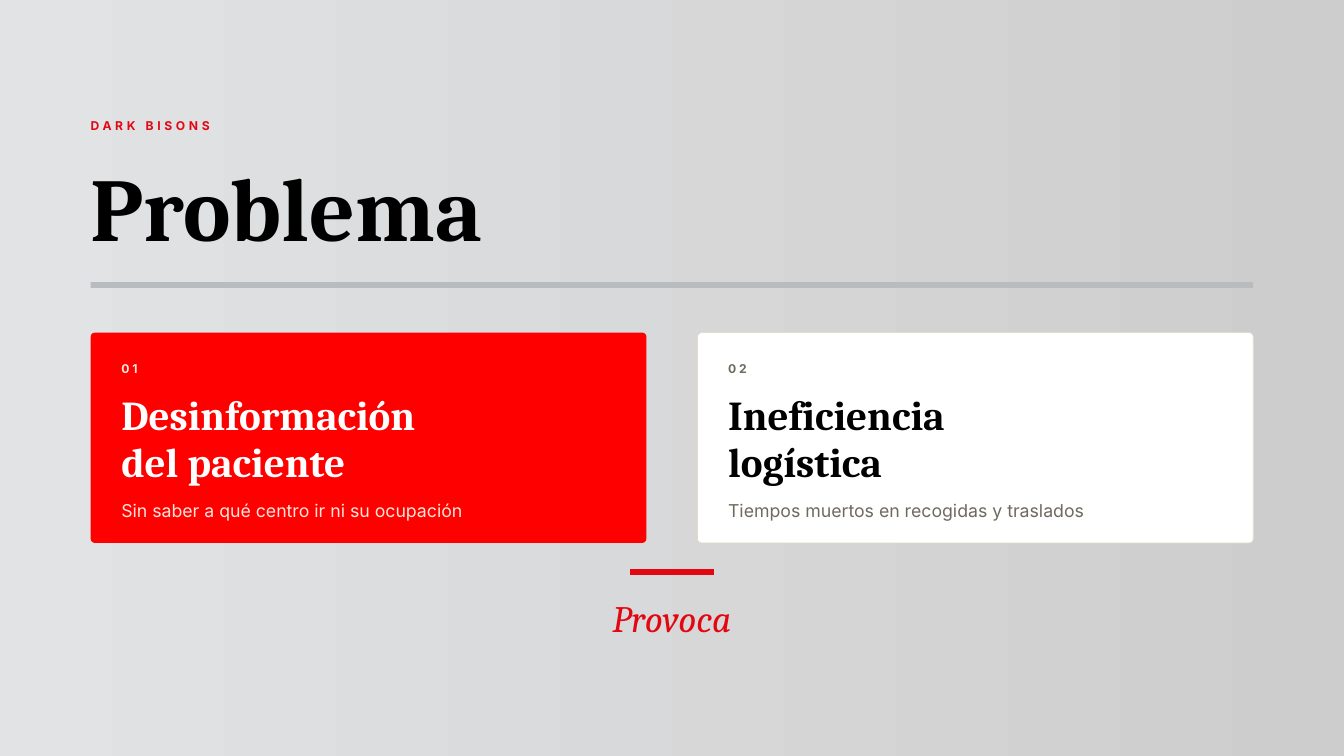
from pptx import Presentation
from pptx.dml.color import RGBColor
from pptx.enum.shapes import MSO_SHAPE
from pptx.enum.text import MSO_AUTO_SIZE, PP_ALIGN
from pptx.util import Inches, Pt

RECT, ROUNDED = MSO_SHAPE.RECTANGLE, MSO_SHAPE.ROUNDED_RECTANGLE
LEFT, CENTER = PP_ALIGN.LEFT, PP_ALIGN.CENTER
GROW = MSO_AUTO_SIZE.SHAPE_TO_FIT_TEXT

# Page grid, in inches
W, H = 20, 11.25
MARGIN = 1.35
CONTENT_W = W - 2 * MARGIN
GAP = 0.76
RULE_H = 0.085
PAD = 0.455

SERIF, SANS = "Cambria", "Inter"
RED, BLACK, WHITE = "E30613", "000000", "FFFFFF"

# number, title lines, detail, fill, border, title colour, small text colour
CARDS = [
    ("01", "Desinformación\ndel paciente",
     "Sin saber a qué centro ir ni su ocupación",
     "FF0000", None, WHITE, "FFE6DC"),
    ("02", "Ineficiencia\nlogística",
     "Tiempos muertos en recogidas y traslados",
     WHITE, "E2D9C8", BLACK, "6F6A60"),
]


def rgb(value):
    return RGBColor.from_string(value)


def add_box(s, kind, x, y, w, h, fill, border=None):
    sp = s.shapes.add_shape(kind, Inches(x), Inches(y), Inches(w), Inches(h))
    sp.shadow.inherit = False
    sp.fill.solid()
    sp.fill.fore_color.rgb = rgb(fill)
    if border:
        sp.line.color.rgb = rgb(border)
        sp.line.width = Pt(0.75)
    else:
        sp.line.fill.background()
    return sp


def add_text(s, x, y, w, h, text, font, size, leading, color,
             bold=False, italic=False, spacing=0, align=LEFT):
    sp = s.shapes.add_textbox(Inches(x), Inches(y), Inches(w), Inches(h))
    tf = sp.text_frame
    tf.word_wrap = True
    tf.auto_size = GROW
    tf.margin_left = tf.margin_right = tf.margin_top = tf.margin_bottom = 0
    tf.text = text
    for p in tf.paragraphs:
        p.alignment = align
        p.line_spacing = Pt(leading)
        for r in p.runs:
            r.font.name = font
            r.font.size = Pt(size)
            r.font.bold = bold
            r.font.italic = italic
            r.font.color.rgb = rgb(color)
            if spacing:
                r._r.get_or_add_rPr().set("spc", str(round(spacing * 100)))


def add_background(s):
    fill = s.background.fill
    fill.gradient()
    fill.gradient_angle = 0
    for stop, color in zip(fill.gradient_stops, ("E1E3E4", "CECDCD")):
        stop.color.rgb = rgb(color)


def add_header(s, x, y, w):
    add_text(s, x, y, w, 0.25, "DARK BISONS", SANS, 13, 18.2, RED,
             bold=True, spacing=3.9)
    add_text(s, x, y + 0.26, w, 1.8, "Problema", SERIF, 96, 134.4, BLACK,
             bold=True)
    add_box(s, RECT, x, y + 2.47, w, RULE_H, "B9BCBF")


def add_card(s, x, y, w, h, number, title, detail, fill, border, strong, soft):
    card = add_box(s, ROUNDED, x, y, w, h, fill, border)
    card.adjustments[0] = 0.02
    x, w = x + PAD, w - 2 * PAD
    add_text(s, x, y + 0.39, w, 0.25, number, SANS, 13, 18.2, soft,
             bold=True, spacing=3.2)
    add_text(s, x, y + 0.87, w, 1.4, title, SERIF, 44, 50.6, strong, bold=True)
    add_text(s, x, y + 2.41, w, 0.37, detail, SANS, 19, 28.5, soft)


def add_closing(s, x, y, w):
    accent_w = 1.25
    add_text(s, x, y + 0.28, w, 0.73, "Provoca", SERIF, 40, 56, RED,
             italic=True, align=CENTER)
    add_box(s, RECT, x + (w - accent_w) / 2, y, accent_w, RULE_H, RED)


def main():
    prs = Presentation()
    prs.slide_width, prs.slide_height = Inches(W), Inches(H)
    s = prs.slides.add_slide(prs.slide_layouts[6])
    add_background(s)
    add_header(s, MARGIN, 1.73, CONTENT_W)
    # Equal card columns
    card_w = (CONTENT_W - GAP * (len(CARDS) - 1)) / len(CARDS)
    for i, card in enumerate(CARDS):
        add_card(s, MARGIN + i * (card_w + GAP), 4.95, card_w, 3.13, *card)
    add_closing(s, MARGIN, 8.47, CONTENT_W)
    prs.save("out.pptx")


if __name__ == "__main__":
    main()
